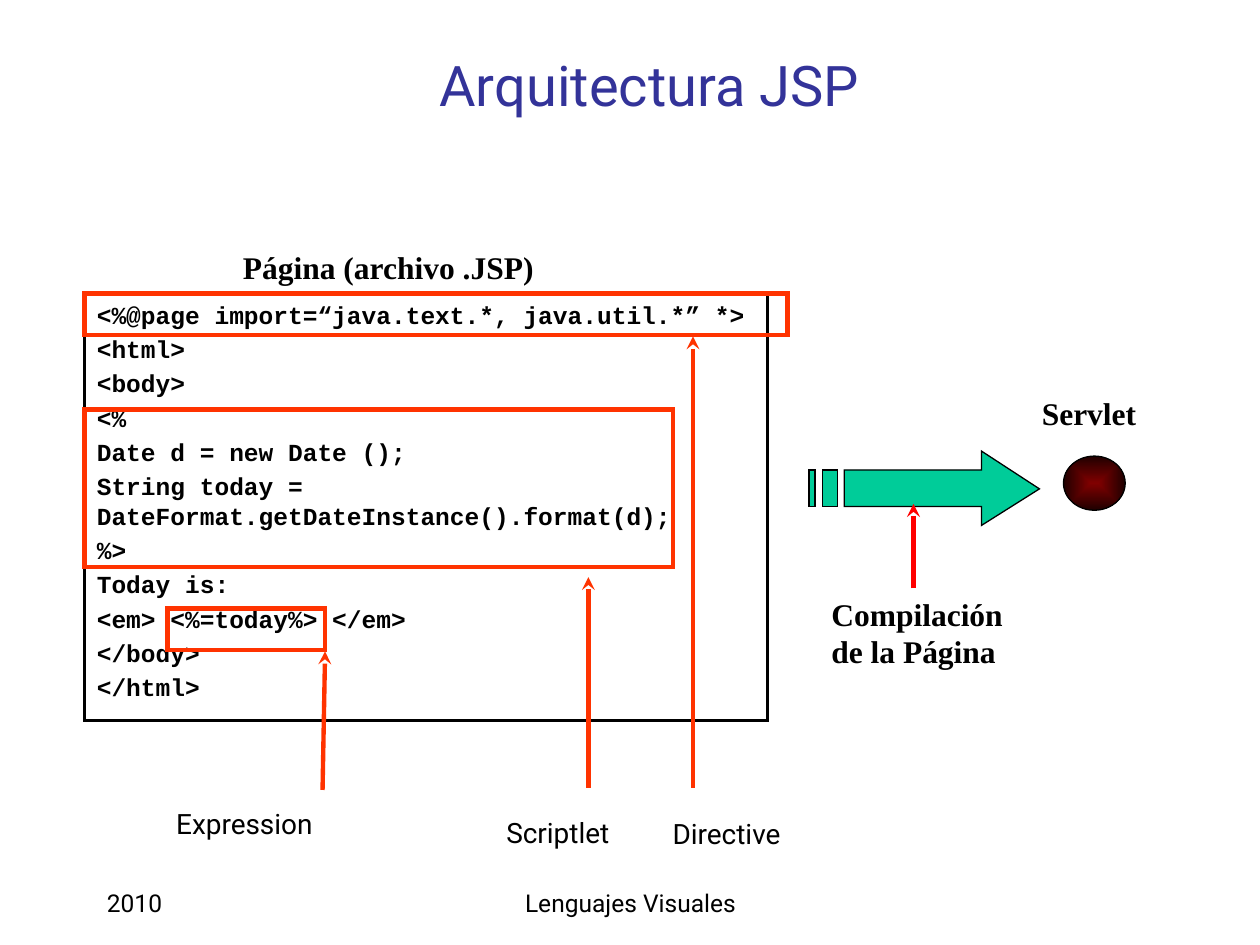
from lxml.etree import SubElement
from pptx import Presentation
from pptx.dml.color import RGBColor
from pptx.enum.shapes import MSO_CONNECTOR, MSO_SHAPE
from pptx.enum.text import MSO_ANCHOR, PP_ALIGN
from pptx.oxml import parse_xml
from pptx.oxml.ns import nsdecls, qn
from pptx.util import Inches, Pt

BLACK = RGBColor(0, 0, 0)
BLUE = RGBColor(0x33, 0x33, 0x99)
GREEN = RGBColor(0, 0xCC, 0x99)
ORANGE = RGBColor(0xFF, 0x33, 0)
RED = RGBColor(0xFF, 0, 0)
SERIF = "Times New Roman"
SANS = "Roboto"


def style(par, name, size, color=BLACK, bold=False):
    """Set the font of a paragraph."""
    font = par.font
    font.name, font.size, font.bold = name, Pt(size), bold
    font.color.rgb = color


def outline(shape, color, width):
    """Give a shape a plain line with sharp corners and no shadow."""
    shape.shadow.inherit = False
    shape.line.color.rgb = color
    shape.line.width = Pt(width)
    SubElement(shape.line._get_or_add_ln(), qn("a:miter"), lim="800000")


deck = Presentation()
deck.slide_width, deck.slide_height = Inches(10), Inches(7.5)
slide = deck.slides.add_slide(deck.slide_layouts[5])
shapes = slide.shapes

title = shapes.title
title.left, title.top = Inches(1.06), Inches(0.21)
title.width, title.height = Inches(8.19), Inches(0.92)
title.text_frame.text = "Arquitectura JSP"
title.text_frame.vertical_anchor = MSO_ANCHOR.MIDDLE
head = title.text_frame.paragraphs[0]
head.alignment = PP_ALIGN.CENTER
style(head, SANS, 32, BLUE)

# JSP page
CODE = """<%@page import=“java.text.*, java.util.*” *>
<html>
<body>
<%
Date d = new Date ();
String today = DateFormat.getDateInstance().format(d);
%>
Today is:
<em> <%=today%> </em>
</body>
</html>"""
page = shapes.add_shape(MSO_SHAPE.RECTANGLE, Inches(0.67), Inches(2.33),
                        Inches(5.42), Inches(3.39))
page.fill.background()
outline(page, BLACK, 2)
frame = page.text_frame
frame.word_wrap = True
frame.vertical_anchor = MSO_ANCHOR.TOP
frame.text = CODE
for par in frame.paragraphs:
    par.alignment = PP_ALIGN.LEFT
    par.space_before = Pt(2.8)
    style(par, "Courier New", 14, bold=True)

# Servlet
ball = shapes.add_shape(MSO_SHAPE.OVAL, Inches(8.44), Inches(3.62),
                        Inches(0.49), Inches(0.43))
outline(ball, BLACK, 0.75)
ball.fill.gradient()
old = ball.element.spPr.find(qn("a:gradFill"))
old.getparent().replace(old, parse_xml(
    f'<a:gradFill {nsdecls("a")}><a:gsLst>'
    '<a:gs pos="0"><a:srgbClr val="800000"/></a:gs>'
    '<a:gs pos="100000"><a:srgbClr val="200000"/></a:gs></a:gsLst>'
    '<a:path path="shape"><a:fillToRect l="50000" t="50000" r="50000" b="50000"/>'
    '</a:path></a:gradFill>'))

# Striped arrow, in hundredths of an inch
body = [(779, 358), (779, 373), (670, 373), (670, 402),
        (779, 402), (779, 417), (825, 388)]
bars = [[(a, 373), (a, 402), (b, 402), (b, 373)]
        for a, b in ((653, 665), (642, 647))]
build = shapes.build_freeform(*body[0], scale=Inches(0.01))
build.add_line_segments(body[1:])
for bar in bars:
    build.move_to(*bar[0])
    build.add_line_segments(bar[1:])
arrow = build.convert_to_shape()
arrow.fill.solid()
arrow.fill.fore_color.rgb = GREEN
outline(arrow, BLACK, 0.75)

# Boxes around the JSP elements
for x, y, w, h in ((0.67, 2.33, 5.58, 0.33),
                   (0.67, 3.25, 4.67, 1.25),
                   (1.33, 4.83, 1.25, 0.33)):
    box = shapes.add_shape(MSO_SHAPE.RECTANGLE, Inches(x), Inches(y),
                           Inches(w), Inches(h))
    box.fill.background()
    outline(box, ORANGE, 2.5)

# Pointers
for x1, y1, x2, y2, color in ((7.25, 4.67, 7.25, 4, RED),
                              (5.5, 6.25, 5.5, 2.67, ORANGE),
                              (4.67, 6.25, 4.67, 4.58, ORANGE),
                              (2.56, 6.27, 2.58, 5.17, ORANGE)):
    line = shapes.add_connector(MSO_CONNECTOR.STRAIGHT, Inches(x1), Inches(y1),
                                Inches(x2), Inches(y2))
    line.line.color.rgb = color
    line.line.width = Pt(2.5)
    SubElement(line.line._get_or_add_ln(), qn("a:tailEnd"), type="stealth")
    SubElement(line.element.spPr, qn("a:effectLst"))

# Labels and footer
LEFT, MID = PP_ALIGN.LEFT, PP_ALIGN.CENTER
for text, x, y, w, h, name, size, bold, align in (
        ("Servlet", 8.17, 3.08, 1.07, 0.4, SERIF, 18, True, LEFT),
        ("Página (archivo .JSP)", 1.83, 1.92, 2.92, 0.4, SERIF, 18, True, LEFT),
        ("Compilación de la Página", 6.5, 4.67, 1.75, 0.7, SERIF, 18, True, LEFT),
        ("Scriptlet", 3.92, 6.42, 1.16, 0.37, SANS, 16, False, LEFT),
        ("Expression", 1.3, 6.35, 2.18, 0.37, SANS, 16, False, LEFT),
        ("Directive", 5.24, 6.43, 1.16, 0.37, SANS, 16, False, LEFT),
        ("2010", 0.75, 7, 2.08, 0.33, SANS, 14, False, LEFT),
        ("Lenguajes Visuales", 3.42, 7, 3.17, 0.33, SANS, 14, False, MID)):
    label = shapes.add_textbox(Inches(x), Inches(y), Inches(w), Inches(h))
    label.text_frame.word_wrap = True
    label.text_frame.text = text
    par = label.text_frame.paragraphs[0]
    par.alignment = align
    style(par, name, size, bold=bold)

deck.save("out.pptx")
